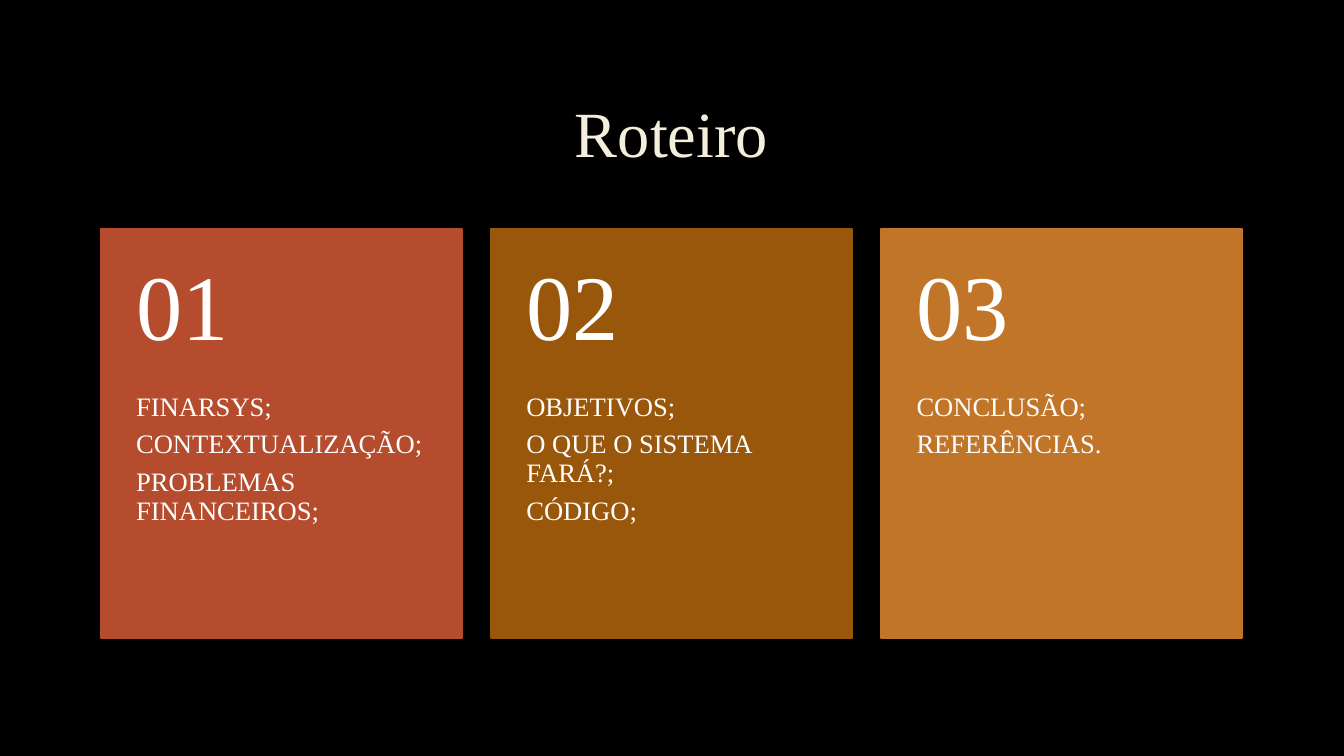
from dataclasses import dataclass

from lxml import etree
from pptx import Presentation
from pptx.dml.color import RGBColor
from pptx.enum import shapes, text
from pptx.oxml import ns
from pptx.util import Pt

PX = 9144  # EMU per px, 100 px to the inch


@dataclass(frozen=True)
class Theme:
    font: str = "Times New Roman"
    background: str = "000000"
    title: str = "F4EEDC"
    title_outline: str = "404040"
    body: str = "FFFFFF"
    cards: tuple = ("B54C2D", "99570C", "C17529")
    title_size: int = 46
    number_size: int = 66
    topic_size: int = 19


THEME = Theme()

TOPICS = (
    ("FINARSYS;", "CONTEXTUALIZAÇÃO;", "PROBLEMAS FINANCEIROS;"),
    ("OBJETIVOS;", "O QUE O SISTEMA FARÁ?;", "CÓDIGO;"),
    ("CONCLUSÃO;", "REFERÊNCIAS."),
)

CARD_LEFT, CARD_TOP, CARD_WIDTH, CARD_HEIGHT = 100, 227, 358, 406
CARD_STEP = 387
NUMBER_HEIGHT = 163


def px(*lengths):
    return [length * PX for length in lengths]


def add_text(parent, box, lines, size, color, insets, anchor, align, gap=0):
    """Add a wrapped text box with one paragraph per line."""
    frame = parent.add_textbox(*px(*box)).text_frame
    frame.word_wrap = True
    frame.vertical_anchor = anchor
    (frame.margin_left, frame.margin_top,
     frame.margin_right, frame.margin_bottom) = px(*insets)
    frame.text = "\n".join(lines)
    for paragraph in frame.paragraphs:
        paragraph.alignment = align
        paragraph.line_spacing = 0.9
        paragraph.space_after = Pt(gap)
        font = paragraph.runs[0].font
        font.name = THEME.font
        font.size = Pt(size)
        font.color.rgb = RGBColor.from_string(color)
    return frame


def outline_text(run, color, width, opacity):
    """Give the letters of a run a faint outline."""
    line = etree.Element(ns.qn("a:ln"), w=str(Pt(width)))
    fill = etree.SubElement(line, ns.qn("a:solidFill"))
    tone = etree.SubElement(fill, ns.qn("a:srgbClr"), val=color)
    etree.SubElement(tone, ns.qn("a:alpha"), val=str(opacity * 1000))
    run.font._element.insert(0, line)


def add_title(slide, wording):
    frame = add_text(slide.shapes, (100, 67, 1132, 138), [wording],
                     THEME.title_size, THEME.title, (10, 5, 10, 5),
                     text.MSO_ANCHOR.MIDDLE, text.PP_ALIGN.CENTER)
    outline_text(frame.paragraphs[0].runs[0], THEME.title_outline, 0.75, 10)


def add_card(parent, left, number, topics, color):
    # Coloured panel
    panel = parent.add_shape(
        shapes.MSO_SHAPE.RECTANGLE,
        *px(left, CARD_TOP, CARD_WIDTH, CARD_HEIGHT))
    panel.shadow.inherit = False
    panel.fill.solid()
    panel.fill.fore_color.rgb = RGBColor.from_string(color)
    panel.line.color.rgb = RGBColor.from_string(color)
    panel.line.width = Pt(1.25)

    # Topics below, number above
    add_text(parent,
             (left, CARD_TOP + NUMBER_HEIGHT, CARD_WIDTH,
              CARD_HEIGHT - NUMBER_HEIGHT),
             topics, THEME.topic_size, THEME.body, (35, 0, 35, 36),
             text.MSO_ANCHOR.TOP, text.PP_ALIGN.LEFT, gap=6.5)
    add_text(parent, (left, CARD_TOP, CARD_WIDTH, NUMBER_HEIGHT),
             [f"{number:02d}"], THEME.number_size, THEME.body,
             (35, 18, 35, 18), text.MSO_ANCHOR.MIDDLE, text.PP_ALIGN.LEFT)


def main():
    deck = Presentation()
    deck.slide_width, deck.slide_height = px(1333, 750)
    agenda = deck.slides.add_slide(deck.slide_layouts[6])
    agenda.background.fill.solid()
    agenda.background.fill.fore_color.rgb = RGBColor.from_string(
        THEME.background)

    # Heading
    add_title(agenda, "Roteiro")

    # Row of numbered cards
    cards = agenda.shapes.add_group_shape().shapes
    for index, (topics, color) in enumerate(zip(TOPICS, THEME.cards)):
        add_card(cards, CARD_LEFT + index * CARD_STEP, index + 1,
                 topics, color)

    deck.save("out.pptx")


if __name__ == "__main__":
    main()
